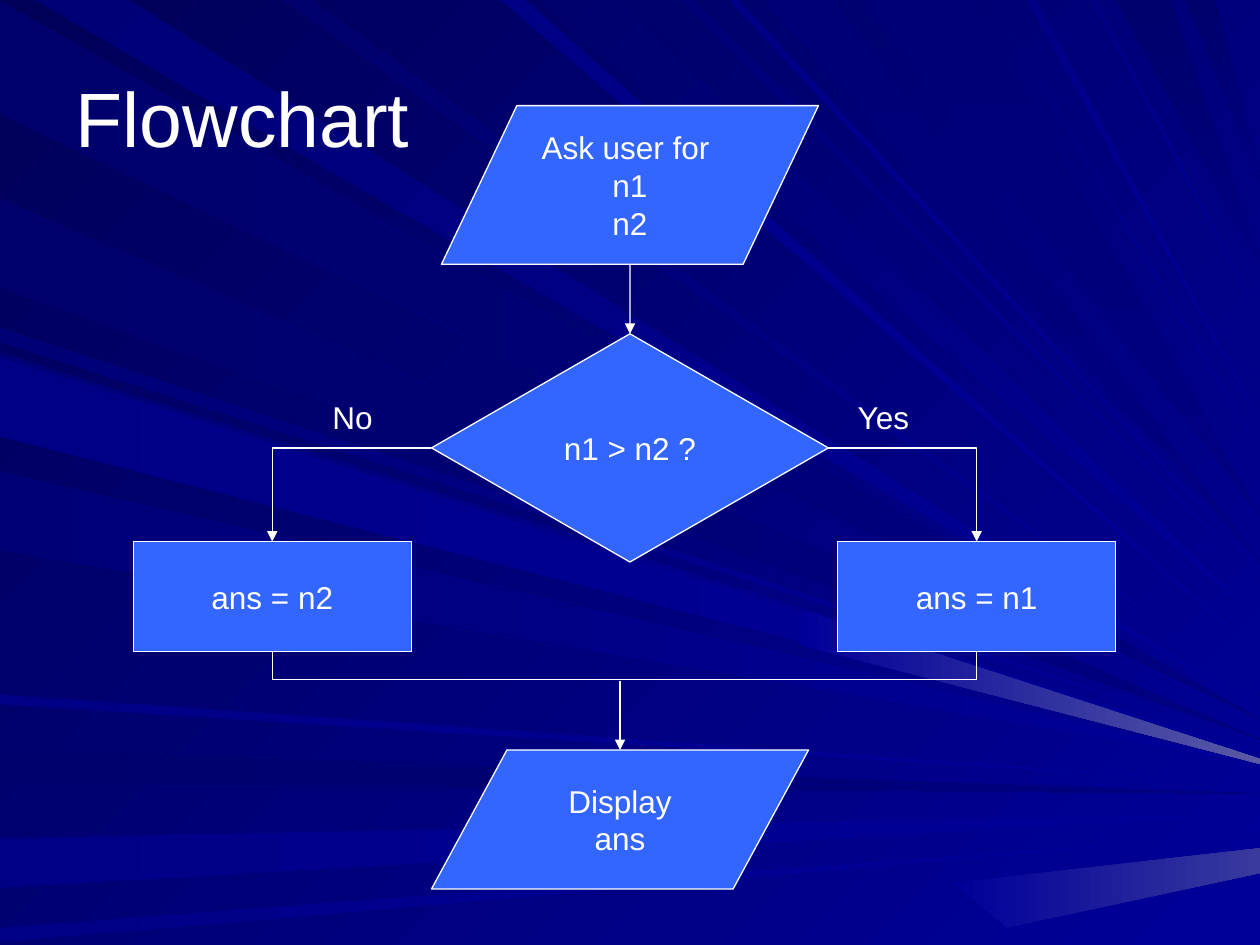
from lxml.etree import SubElement
from pptx import Presentation
from pptx.dml.color import RGBColor
from pptx.enum.shapes import MSO_CONNECTOR, MSO_SHAPE
from pptx.enum.text import MSO_ANCHOR, MSO_AUTO_SIZE, PP_ALIGN
from pptx.oxml.ns import qn
from pptx.util import Cm, Pt

COLORS = {"text": "FFFFFF", "line": "FFFFFF", "step": "3366FF",
          "dark": "000058", "ink": "00006C", "deep": "000076", "mid": "000087",
          "navy": "000080", "blue": "000099", "haze": "39399E", "glow": "5A5AA6"}
FONT = "Arial"
WIDTH, HEIGHT = 25.4, 19.05
LEFT_RAYS = [
    ("ink", "navy", 0, 2.3, 14.5),
    ("ink", "navy", 4, 5.8, 14.9),
    ("deep", "blue", 6.6, 6.9, 15),
    ("deep", "blue", 7.1, 8.7, 15.2),
    ("deep", "blue", 9.5, 11.1, 15.4),
    ("mid", "blue", 14, 14.2, 15.8),
    ("ink", "navy", 15.1, 15.8, 16),
    ("mid", "blue", 16.9, 17.9, 16.4),
    ("mid", "blue", 18.7, 19, 16.8),
    ("mid", "blue", 7.2, 8.8, 15.3),
]
TOP_RAYS = [
    ("deep", "blue", 0.7, 2.6, 14.3),
    ("ink", "blue", 5.7, 6.3, 14),
    ("mid", "blue", 10.1, 10.6, 13.2),
    ("ink", "blue", 10.8, 12.5, 12.5),
    ("deep", "blue", 13.7, 14, 11.7),
    ("mid", "blue", 14.7, 14.9, 11.5),
    ("deep", "navy", 15.4, 16.8, 11.3),
    ("deep", "navy", 17.4, 19.6, 10.4),
    ("deep", "blue", 19.9, 20.1, 9.1),
    ("mid", "blue", 20.7, 20.9, 8.5),
    ("mid", "blue", 22, 22.1, 6.4),
    ("ink", "navy", 22.5, 23.6, 5.3),
    ("ink", "navy", 23.9, 24.5, 3.6),
]
GLOW = [(16.1, 13), (16.2, 12.3), (WIDTH, 15.3), (WIDTH, 15.4)]
HAZE = [(20.3, 18.7), (19.2, 17.8), (WIDTH, 17.1), (WIDTH, 17.6)]


def color(name):
    """Return the palette colour called name."""
    return RGBColor.from_string(COLORS[name])


def paint(fill, start, end, angle):
    """Fill with one colour, or blend two along a clockwise angle."""
    if start == end:
        fill.solid()
        fill.fore_color.rgb = color(start)
        return
    fill.gradient()
    fill.gradient_angle = -angle % 360
    for stop, name in zip(fill.gradient_stops, (start, end)):
        stop.color.rgb = color(name)


def add_ray(slide, start, end, angle, corners):
    """Draw one borderless background ray."""
    points = [(Cm(x), Cm(y)) for x, y in corners]
    builder = slide.shapes.build_freeform(*points[0])
    builder.add_line_segments(points[1:], close=True)
    ray = builder.convert_to_shape()
    ray.shadow.inherit = False
    ray.line.fill.background()
    paint(ray.fill, start, end, angle)


def add_rays(slide):
    """Fan the rays from the left and top edges towards the right edge."""
    for start, end, upper, lower, tip in LEFT_RAYS:
        add_ray(slide, start, end, 0, [(0, upper), (0, lower), (WIDTH, tip)])
    for start, end, near, far, tip in TOP_RAYS:
        angle = 90 if end == "navy" else 45
        add_ray(slide, start, end, angle, [(near, 0), (far, 0), (WIDTH, tip)])
    add_ray(slide, "blue", "glow", 0, GLOW)
    add_ray(slide, "blue", "haze", 0, HAZE)


def write(frame, lines, align, size=18):
    """Write the lines as evenly formatted paragraphs."""
    frame.text = "\n".join(lines)
    for paragraph in frame.paragraphs:
        paragraph.alignment = align
        paragraph.font.size = Pt(size)
        paragraph.font.name = FONT
        paragraph.font.color.rgb = color("text")


def add_step(slide, kind, box, *lines):
    """Add a flowchart symbol with centred text."""
    step = slide.shapes.add_shape(kind, *map(Cm, box))
    step.shadow.inherit = False
    paint(step.fill, "step", "step", 0)
    step.line.color.rgb = color("line")
    step.line.width = Pt(0.75)
    step.text_frame.word_wrap = False
    step.text_frame.vertical_anchor = MSO_ANCHOR.MIDDLE
    write(step.text_frame, lines, PP_ALIGN.CENTER)
    return step


def add_label(slide, box, text):
    """Add a branch label."""
    label = slide.shapes.add_textbox(*map(Cm, box))
    label.text_frame.word_wrap = False
    label.text_frame.auto_size = MSO_AUTO_SIZE.SHAPE_TO_FIT_TEXT
    write(label.text_frame, [text], PP_ALIGN.LEFT)


def add_link(slide, kind, ends=(0, 0, 0, 0), begin=None, end=None, arrow=True):
    """Add a connector, joined to (step, side) pairs where given."""
    link = slide.shapes.add_connector(kind, *map(Cm, ends))
    if begin:
        link.begin_connect(*begin)
    if end:
        link.end_connect(*end)
    link.line.color.rgb = color("line")
    link.line.width = Pt(0.75)
    if arrow:
        SubElement(link.line._get_or_add_ln(), qn("a:tailEnd"), type="triangle")
    SubElement(link._element.spPr, qn("a:effectLst"))
    return link


def add_branch(slide, begin, end):
    """Add an arrow that turns one corner."""
    branch = add_link(slide, MSO_CONNECTOR.ELBOW, begin=begin, end=end)
    branch._element.spPr.find(qn("a:prstGeom")).set("prst", "bentConnector2")


def add_merge(slide, begin, end, depth):
    """Join two bottom sides with a U-shaped line of the given depth."""
    merge = add_link(slide, MSO_CONNECTOR.ELBOW, begin=begin, end=end, arrow=False)
    span, thickness = merge.width, Cm(0.01)
    merge.left += (span - thickness) // 2
    merge.top -= span // 2
    merge.width, merge.height = thickness, span
    frame = merge._element.spPr.find(qn("a:xfrm"))
    frame.set("rot", "16200000")
    frame.set("flipH", "1")
    geometry = merge._element.spPr.find(qn("a:prstGeom"))
    guides = geometry.find(qn("a:avLst"))
    if guides is None:
        guides = SubElement(geometry, qn("a:avLst"))
    ratio = round(depth / thickness * 100000)
    SubElement(guides, qn("a:gd"), name="adj1", fmla=f"val {ratio}")


def add_title(slide, text):
    """Place the title in front of the rays."""
    title = slide.shapes.title
    title.left, title.top, title.width, title.height = map(Cm, (1.27, 0.76, 22.86, 3.18))
    title.text_frame.vertical_anchor = MSO_ANCHOR.MIDDLE
    write(title.text_frame, [text], PP_ALIGN.LEFT, 44)
    slide.shapes._spTree.append(title._element)


def main():
    """Build the flowchart slide."""
    deck = Presentation()
    deck.slide_width, deck.slide_height = Cm(WIDTH), Cm(HEIGHT)
    slide = deck.slides.add_slide(deck.slide_layouts[5])
    paint(slide.background.fill, "dark", "blue", 45)
    add_rays(slide)
    add_title(slide, "Flowchart")

    decision = add_step(slide, MSO_SHAPE.FLOWCHART_DECISION, (8.7, 6.73, 8, 4.6), "n1 > n2 ?")
    no_step, yes_step = [
        add_step(slide, MSO_SHAPE.FLOWCHART_PROCESS, (left, 10.92, 5.6, 2.21), text)
        for left, text in ((2.69, "ans = n2"), (16.89, "ans = n1"))]
    add_step(slide, MSO_SHAPE.FLOWCHART_DATA, (8.9, 2.13, 7.6, 3.2), "Ask user for ", "n1", "n2")
    add_step(slide, MSO_SHAPE.FLOWCHART_DATA, (8.7, 15.12, 7.6, 2.8), "Display", "ans")

    add_link(slide, MSO_CONNECTOR.STRAIGHT, (12.7, 5.33, 12.7, 6.73), end=(decision, 0))
    add_branch(slide, (decision, 3), (yes_step, 0))
    add_branch(slide, (decision, 1), (no_step, 0))
    add_merge(slide, (no_step, 2), (yes_step, 2), Cm(0.58))
    add_link(slide, MSO_CONNECTOR.STRAIGHT, (12.5, 13.72, 12.5, 15.12))

    add_label(slide, (6.45, 7.9, 1.32, 1.02), "No")
    add_label(slide, (17.04, 7.9, 1.6, 1.02), "Yes")
    deck.save("out.pptx")


if __name__ == "__main__":
    main()
